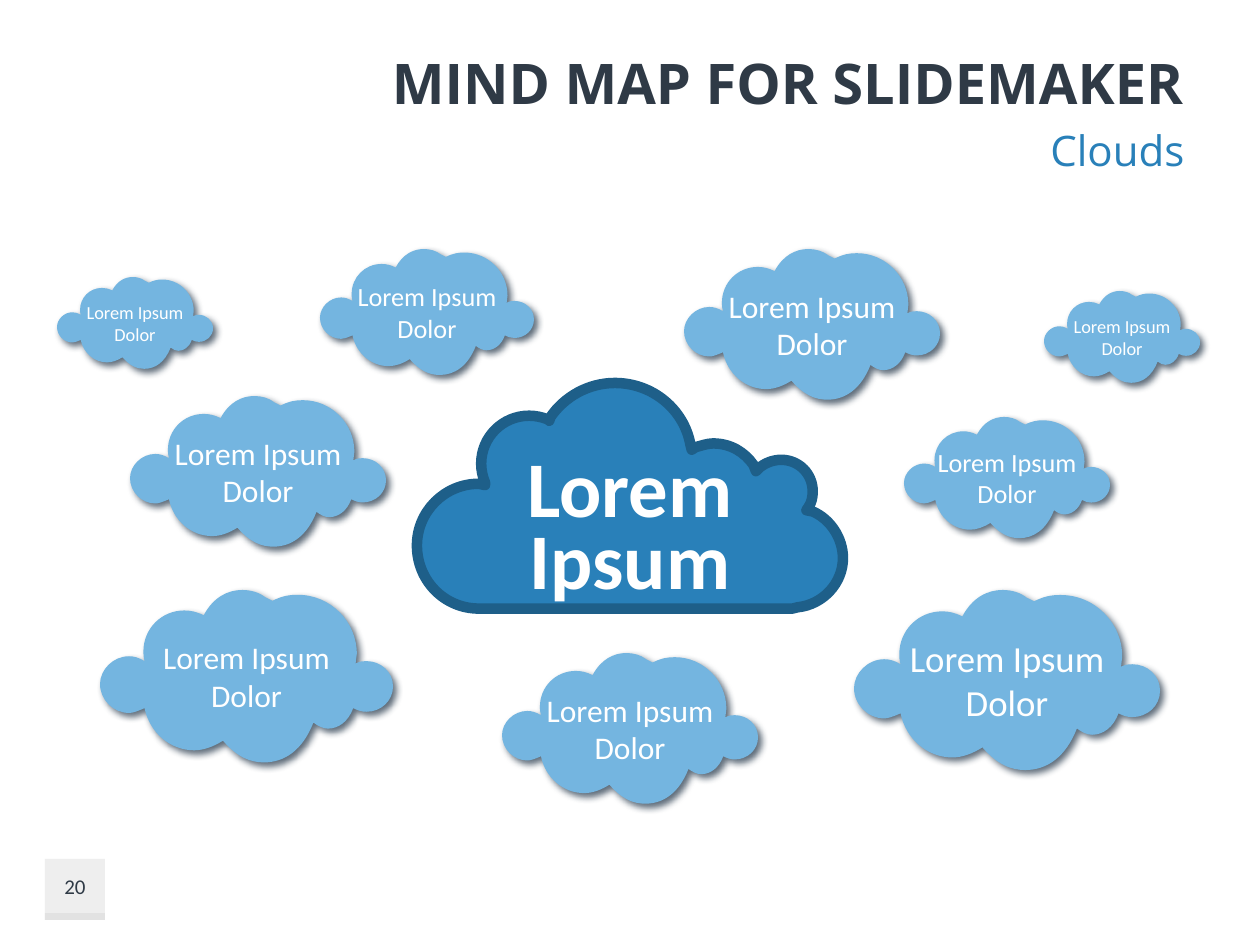
"""Builds a mind map slide with nine small clouds around a large one."""
import dataclasses

import lxml.etree
import pptx
import pptx.dml.color
import pptx.enum.shapes
import pptx.enum.text
import pptx.oxml.ns
import pptx.util

ALIGN = pptx.enum.text.PP_ALIGN
ANCHOR = pptx.enum.text.MSO_ANCHOR
NAME = pptx.oxml.ns.qn


@dataclasses.dataclass(frozen=True)
class Theme:
    head: str = "Open Sans"
    body: str = "Calibri"
    dark: str = "2F3A46"
    blue: str = "2980B9"
    edge: str = "1E5F89"
    sky: str = "74B5E0"
    shade: str = "2C3E50"
    grey: str = "BFBFBF"
    white: str = "FFFFFF"
    title: float = 32
    sub: float = 24
    core: float = 45
    lead: float = 41.2
    huge: float = 21
    large: float = 18
    mid: float = 15
    small: float = 10.5
    page: float = 12


THEME = Theme()

PUFF = [
    (118, 0), (125, 0, 132, 2, 137, 6), (143, 9),
    (151, 5, 157, 4, 164, 4), (191, 4, 213, 26, 213, 53), (212, 61),
    (216, 59, 218, 59, 221, 59), (233, 59, 243, 68, 243, 80),
    (243, 92, 233, 101, 221, 101), (217, 101, 214, 100, 210, 98),
    (206, 109, 198, 115, 189, 115), (185, 115, 181, 113, 177, 110),
    (168, 133, 153, 143, 136, 143), (125, 143, 114, 139, 102, 125),
    (94, 130, 86, 133, 78, 133), (58, 133, 41, 118, 37, 98),
    (30, 101, 27, 102, 24, 102), (11, 102, 0, 91, 0, 78),
    (0, 66, 11, 55, 24, 55), (28, 55, 32, 56, 37, 59),
    (36, 56, 36, 53, 36, 51), (36, 32, 51, 17, 70, 17),
    (75, 17, 80, 18, 86, 21), (94, 6, 106, 0, 118, 0),
]

CORE = [
    (157, 0), (187, 0, 212, 21, 217, 49), (218, 53), (221, 51),
    (225, 50, 230, 48, 235, 48), (249, 48, 260, 55, 267, 65),
    (269, 70), (271, 68), (275, 64, 282, 61, 289, 61),
    (303, 61, 314, 72, 314, 86), (314, 91, 313, 95, 311, 98),
    (309, 101), (314, 102), (328, 108, 338, 123, 338, 139),
    (338, 159, 322, 176, 302, 178), (298, 179), (49, 179),
    (22, 179, 0, 157, 0, 129), (0, 102, 22, 80, 49, 80), (54, 81), (54, 79),
    (52, 74, 51, 69, 51, 64), (51, 43, 68, 26, 89, 26),
    (94, 26, 99, 27, 104, 29), (105, 30), (106, 27),
    (117, 11, 136, 0, 157, 0),
]

ONE = ["Lorem Ipsum Dolor"]
TWO = ["Lorem Ipsum", "Dolor"]
CLOUDS = [
    (320, 249, 214, THEME.mid, ONE),
    (684, 249, 256, THEME.large, ONE),
    (130, 396, 256, THEME.large, ONE),
    (904, 417, 206, THEME.mid, ONE),
    (100, 590, 293, THEME.large, TWO),
    (854, 590, 306, THEME.huge, TWO),
    (502, 653, 256, THEME.large, ONE),
    (57, 277, 156, THEME.small, ONE),
    (1044, 291, 156, THEME.small, ONE),
]


def px(num):
    """Turn pixels into EMU."""
    return pptx.util.Inches(num / 126)


def tint(code):
    """Make a colour from its hex code."""
    return pptx.dml.color.RGBColor.from_string(code)


def write(shape, lines, size, color, face=THEME.body, bold=False,
          align=ALIGN.CENTER, anchor=ANCHOR.MIDDLE):
    """Fill a shape with styled lines and return its frame."""
    frame = shape.text_frame
    frame.text = "\n".join(lines)
    frame.word_wrap = True
    frame.auto_size = pptx.enum.text.MSO_AUTO_SIZE.NONE
    frame.vertical_anchor = anchor
    for para in frame.paragraphs:
        para.alignment = align
        para.font.name = face
        para.font.size = pptx.util.Pt(size)
        para.font.bold = bold
        para.font.color.rgb = tint(color)
    return frame


def paint(shape, color):
    """Give a shape a plain fill with no line or shadow."""
    shape.shadow.inherit = False
    shape.fill.solid()
    shape.fill.fore_color.rgb = tint(color)
    shape.line.fill.background()


def fade(node, share):
    """Set the opacity of a colour node in percent."""
    lxml.etree.SubElement(node, NAME("a:alpha"), val=str(share * 1000))


def lift(shape):
    """Cast a soft shadow down and to the right."""
    group = shape.element.spPr.find(NAME("a:effectLst"))
    cast = lxml.etree.SubElement(
        group, NAME("a:outerShdw"), blurRad=str(pptx.util.Pt(4)),
        dist=str(pptx.util.Pt(3)), dir=str(45 * 60000), algn="tl", rotWithShape="0")
    fade(lxml.etree.SubElement(cast, NAME("a:srgbClr"), val=THEME.shade), 75)


def bend(shape, route, scale):
    """Turn the straight parts that have handles into cubic curves."""
    nodes = shape.element.spPr.findall(".//" + NAME("a:lnTo"))
    for node, part in zip(nodes, route[1:]):
        if len(part) == 2:
            continue
        node.tag = NAME("a:cubicBezTo")
        for rank in (0, 1):
            x, y = part[2 * rank:2 * rank + 2]
            spot = lxml.etree.Element(
                NAME("a:pt"), x=str(px(x * scale)), y=str(px(y * scale)))
            node.insert(rank, spot)


def draw(slide, route, left, top, width, color):
    """Add a closed outline scaled to a width."""
    scale = width / max(part[-2] for part in route)
    spots = [(px(left + part[-2] * scale), px(top + part[-1] * scale)) for part in route]
    pen = slide.shapes.build_freeform(*spots[0])
    pen.add_line_segments(spots[1:], close=True)
    shape = pen.convert_to_shape()
    bend(shape, route, scale)
    paint(shape, color)
    return shape


def head(holder, box, text, size, color, bold):
    """Move a heading placeholder and set its text."""
    holder.left, holder.top, holder.width, holder.height = map(px, box)
    return write(holder, [text], size, color, THEME.head, bold, ALIGN.RIGHT)


def cloud(slide, left, top, width, size, lines):
    """Add one small cloud with its label."""
    shape = draw(slide, PUFF, left, top, width, THEME.sky)
    lift(shape)
    write(shape, lines, size, THEME.white)


def core(slide):
    """Add the large cloud in the middle."""
    shape = draw(slide, CORE, 417, 383, 426, THEME.blue)
    shape.line.color.rgb = tint(THEME.edge)
    shape.line.width = pptx.util.Pt(6)
    frame = write(shape, ["Lorem Ipsum"], THEME.core, THEME.white, bold=True,
                  anchor=ANCHOR.BOTTOM)
    frame.margin_bottom = px(3)
    frame.paragraphs[0].line_spacing = pptx.util.Pt(THEME.lead)


def badge(slide, text):
    """Add the page number on its grey tile."""
    kind = pptx.enum.shapes.MSO_SHAPE.RECTANGLE
    for top, height in ((859, 61), (913, 7)):
        tile = slide.shapes.add_shape(kind, px(45), px(top), px(60), px(height))
        paint(tile, THEME.grey)
        fade(tile.element.spPr.find(".//" + NAME("a:srgbClr")), 25)
    label = slide.shapes.add_textbox(px(45), px(859), px(60), px(54))
    write(label, [text], THEME.page, THEME.dark)


def main():
    """Build and save the slide."""
    deck = pptx.Presentation()
    deck.slide_width, deck.slide_height = px(1260), px(945)
    slide = deck.slides.add_slide(deck.slide_layouts[0])
    title, sub = slide.placeholders
    head(title, (224, 42, 973, 81), "MIND MAP FOR SLIDEMAKER", THEME.title, THEME.dark, True)
    frame = head(sub, (224, 118, 973, 63), "Clouds", THEME.sub, THEME.blue, False)
    frame.paragraphs[0].space_before = pptx.util.Pt(4.8)
    core(slide)
    for spot in CLOUDS:
        cloud(slide, *spot)
    badge(slide, "20")
    deck.save("out.pptx")


if __name__ == "__main__":
    main()
